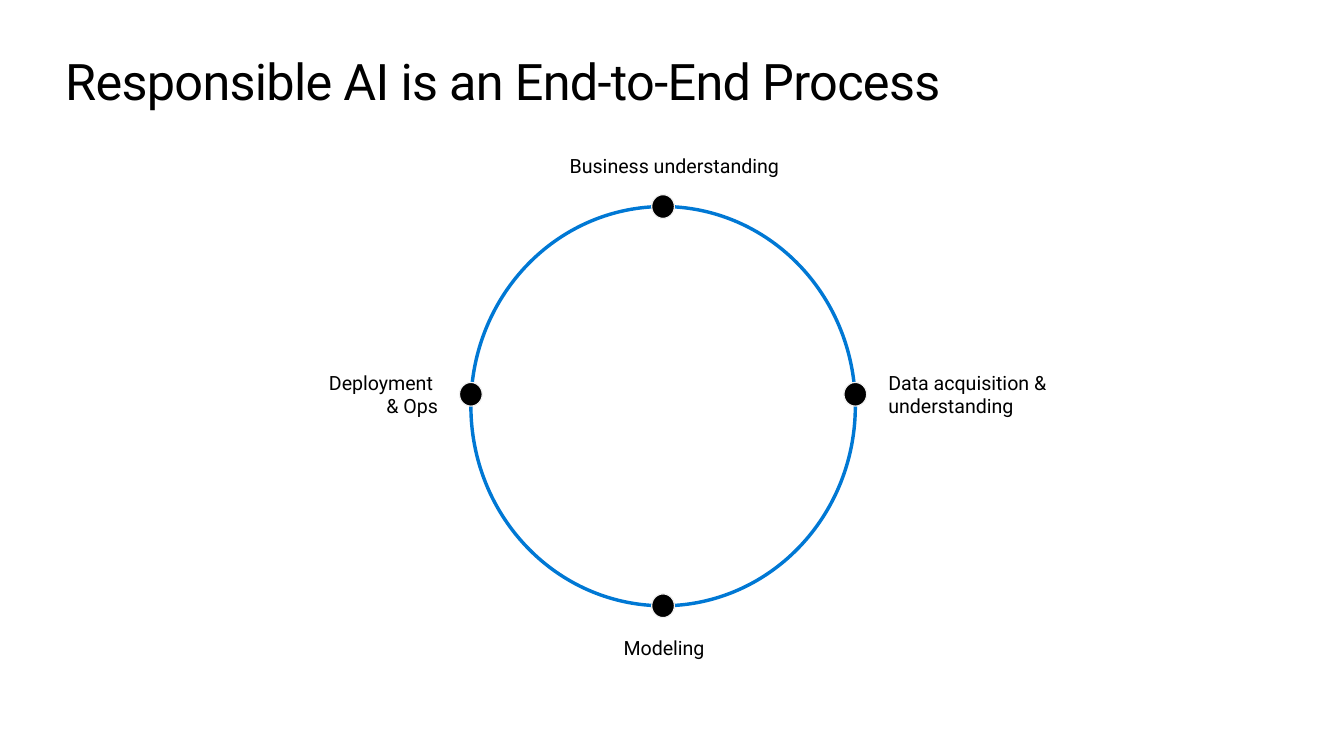
"""Build a slide showing responsible AI as a four-stage cycle."""
from dataclasses import dataclass

from pptx import Presentation
from pptx.dml.color import RGBColor
from pptx.enum.shapes import MSO_SHAPE as Shape
from pptx.enum.text import MSO_AUTO_SIZE as AutoSize, PP_ALIGN as Align
from pptx.util import Inches, Pt


@dataclass(frozen=True)
class Theme:
    """Colours, font and type sizes of the slide."""
    font: str = "Roboto"
    ink: RGBColor = RGBColor(0x00, 0x00, 0x00)
    ring: RGBColor = RGBColor(0x00, 0x78, 0xD4)
    marker_edge: RGBColor = RGBColor(0xF2, 0xF2, 0xF2)
    title_size: float = 36.7
    label_size: float = 14.3


class CycleSlide:
    """Draws the elements of a cycle on one slide."""

    def __init__(self, slide, theme):
        """Keep the slide and its theme."""
        self.slide = slide
        self.theme = theme

    def text(self, wording, box, size, align):
        """Add a wrapped text box and return it."""
        text_box = self.slide.shapes.add_textbox(*map(Inches, box))
        frame = text_box.text_frame
        frame.word_wrap = True
        frame.auto_size = AutoSize.SHAPE_TO_FIT_TEXT
        paragraph = frame.paragraphs[0]
        paragraph.text = wording
        paragraph.alignment = align
        paragraph.font.name = self.theme.font
        paragraph.font.size = Pt(size)
        paragraph.font.color.rgb = self.theme.ink
        return text_box

    def title(self, wording, box):
        """Add the slightly tightened title without insets."""
        frame = self.text(wording, box, self.theme.title_size, Align.LEFT).text_frame
        frame.margin_left = frame.margin_right = 0
        frame.margin_top = frame.margin_bottom = 0
        frame.paragraphs[0].runs[0]._r.get_or_add_rPr().set("spc", "-50")

    def label(self, wording, box, align):
        """Add the label of a stage."""
        self.text(wording, box, self.theme.label_size, align)

    def ellipse(self, center, size, line_color, line_width, fill=None):
        """Add an ellipse around a center, hollow unless a fill is given."""
        box = [c - s / 2 for c, s in zip(center, size)] + list(size)
        oval = self.slide.shapes.add_shape(Shape.OVAL, *map(Inches, box))
        oval.shadow.inherit = False
        if fill is None:
            oval.fill.background()
        else:
            oval.fill.solid()
            oval.fill.fore_color.rgb = fill
        oval.line.color.rgb = line_color
        oval.line.width = Pt(line_width)

    def ring(self, center, size):
        """Add the ring that joins the stages."""
        self.ellipse(center, size, self.theme.ring, 2.5)

    def marker(self, center):
        """Add the dot of a stage."""
        self.ellipse(center, (0.23, 0.24), self.theme.marker_edge, 0.85, self.theme.ink)


def main():
    """Build and save the slide."""
    deck = Presentation()
    deck.slide_width, deck.slide_height = Inches(13.6), Inches(7.65)
    cycle = CycleSlide(deck.slides.add_slide(deck.slide_layouts[6]), Theme())
    cycle.title("Responsible AI is an End-to-End Process", (0.66, 0.51, 12.29, 0.62))

    center_x, center_y = 6.71, 4.11
    width, height = 3.89, 4.04
    side_y = 3.99
    stages = [
        ("Business understanding", (center_x, center_y - height / 2),
         (5.64, 1.51, 2.37, 0.35), Align.CENTER),
        ("Data acquisition & understanding", (center_x + width / 2, side_y),
         (8.89, 3.7, 1.82, 0.59), Align.LEFT),
        ("Modeling", (center_x, center_y + height / 2),
         (6, 6.39, 1.44, 0.35), Align.CENTER),
        ("Deployment \v& Ops", (center_x - width / 2, side_y),
         (2.89, 3.7, 1.64, 0.59), Align.RIGHT),
    ]
    cycle.ring((center_x, center_y), (width, height))
    for wording, spot, box, align in stages:
        cycle.marker(spot)
        cycle.label(wording, box, align)

    deck.save("out.pptx")


if __name__ == "__main__":
    main()
